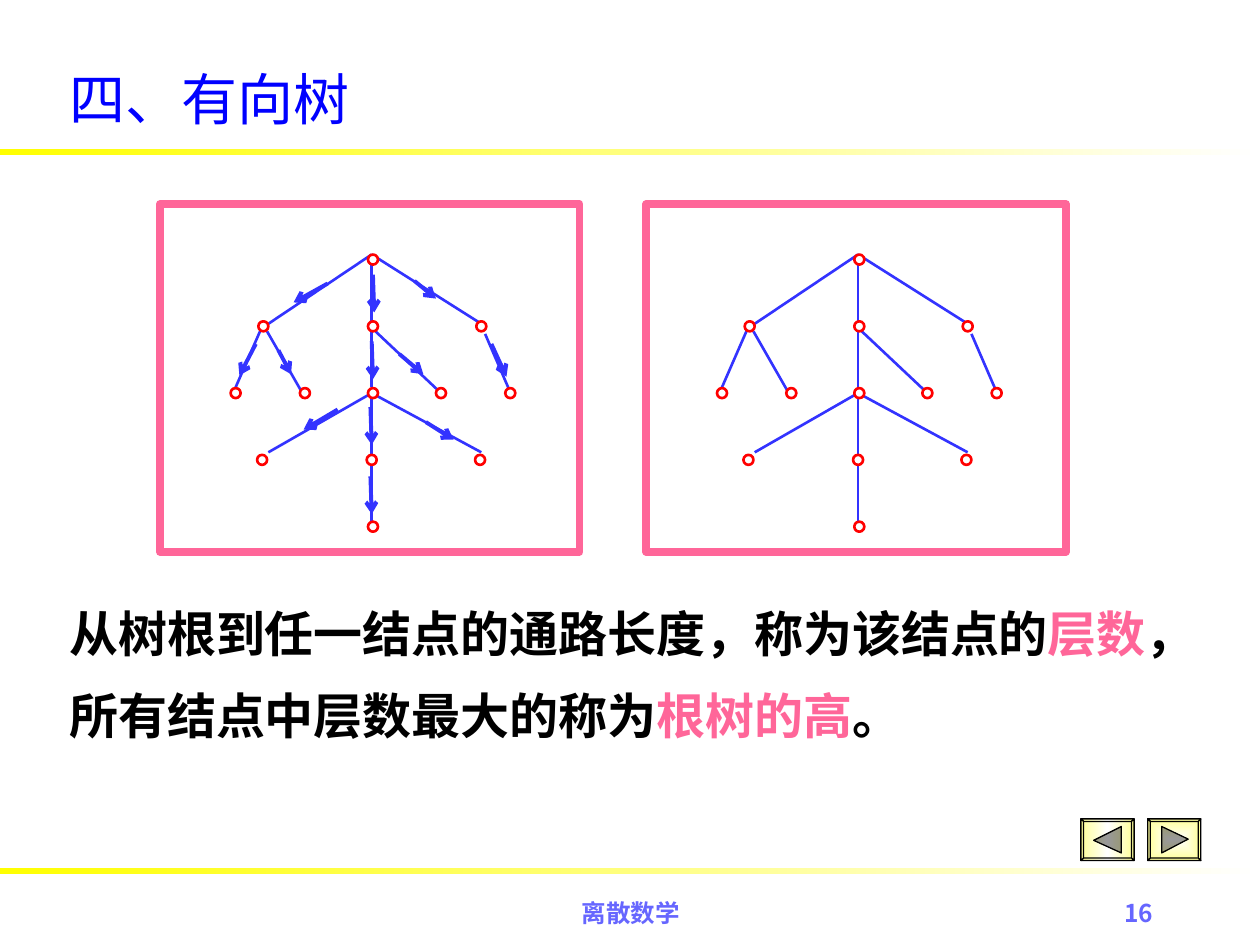
from copy import deepcopy
from typing import NamedTuple, Optional

from lxml.etree import SubElement
from pptx import Presentation
from pptx.dml.color import RGBColor
from pptx.enum.shapes import MSO_CONNECTOR as Link, MSO_SHAPE as Shape
from pptx.enum.text import MSO_ANCHOR as Anchor, MSO_AUTO_SIZE as Fit, PP_ALIGN as Align
from pptx.oxml.ns import qn
from pptx.util import Pt

PX = 9144
WHITE = RGBColor(0xFF, 0xFF, 0xFF)
BLACK = RGBColor(0x00, 0x00, 0x00)
YELLOW = RGBColor(0xFF, 0xFF, 0x00)
CREAM = RGBColor(0xFF, 0xFF, 0x99)
PINK = RGBColor(0xFF, 0x66, 0x99)
RED = RGBColor(0xFF, 0x00, 0x00)
BLUE = RGBColor(0x00, 0x00, 0xFF)
INK = RGBColor(0x33, 0x33, 0xFF)
LILAC = RGBColor(0x66, 0x66, 0xFF)
SERIF = "Times New Roman"
SANS = "Noto Sans CJK SC"


class Box(NamedTuple):
    x: int
    y: int
    w: int
    h: int

    def emu(self) -> list[int]:
        return [n * PX for n in self]


class Edge(NamedTuple):
    x1: int
    y1: int
    x2: int
    y2: int


class Button(NamedTuple):
    x: int
    mark: list[tuple[int, int]]
    stops: list[tuple[float, RGBColor]]
    angle: Optional[int]


FRAME_W, FRAME_H, TOP = 333, 276, 162
ROOT_Y, STEP, DOT = 44, 53, 8
LEVELS = [[169], [82, 169, 255], [60, 115, 169, 223, 278], [81, 168, 254], [169]]
EDGES = [
    Edge(58, 150, 82, 95), Edge(168, 40, 255, 95), Edge(168, 103, 168, 48),
    Edge(86, 95, 168, 40), Edge(113, 150, 85, 101), Edge(168, 252, 168, 208),
    Edge(223, 150, 171, 101), Edge(168, 145, 168, 101), Edge(277, 147, 258, 103),
    Edge(168, 150, 255, 197), Edge(168, 205, 168, 150), Edge(86, 197, 168, 150),
]
ARROWS = [
    Edge(133, 63, 106, 78), Edge(202, 61, 219, 75), Edge(169, 56, 170, 86),
    Edge(190, 119, 209, 135), Edge(263, 111, 275, 137), Edge(94, 116, 104, 135),
    Edge(76, 111, 63, 136), Edge(141, 163, 114, 179), Edge(211, 173, 233, 187),
    Edge(168, 109, 169, 139), Edge(167, 161, 168, 191), Edge(167, 216, 168, 246),
]
BUTTONS = [
    Button(911, [(11, 6), (32, 16), (11, 27)], [(0, WHITE), (1, CREAM)], None),
    Button(858, [(10, 17), (32, 6), (32, 27)],
           [(0, CREAM), (0.5, WHITE), (1, CREAM)], 180),
]
LINES = [
    (Box(45, 460, 955, 71), [("从树根到任一结点的通路长度，称为该结点的", BLACK),
                             ("层数", PINK), ("，", BLACK)]),
    (Box(45, 525, 730, 71), [("所有结点中层数最大的称为", BLACK),
                             ("根树的高", PINK), ("。", BLACK)]),
]


def write(shape, box: Box, runs: list, *, size: int, face: str = SERIF,
          bold: bool = False, align=Align.LEFT, anchor=Anchor.TOP,
          space: float = 1.0, fit=Fit.NONE) -> None:
    shape.left, shape.top, shape.width, shape.height = box.emu()
    frame = shape.text_frame
    frame.word_wrap = True
    frame.auto_size = fit
    frame.vertical_anchor = anchor
    para = frame.paragraphs[0]
    para.alignment = align
    para.line_spacing = space
    para.space_before = Pt(0)
    props = para._p.get_or_add_pPr()
    props.set("marL", "0")
    props.set("indent", "0")
    SubElement(props, qn("a:buNone"))
    for text, color in runs:
        run = para.add_run()
        run.text = text
        font = run.font
        font.size, font.name, font.bold = Pt(size), face, bold
        font.color.rgb = color


def blend(shape, stops: list, angle: Optional[int]) -> None:
    shape.fill.gradient()
    grad = shape.element.spPr.find(qn("a:gradFill"))
    row = grad.find(qn("a:gsLst"))
    while len(row) < len(stops):
        row.append(deepcopy(row[0]))
    for stop, (place, color) in zip(shape.fill.gradient_stops, stops):
        stop.position = place
        stop.color.rgb = color
    if angle is not None:
        shape.fill.gradient_angle = angle
        return
    grad.remove(grad.find(qn("a:lin")))
    focus = SubElement(grad, qn("a:path"), path="rect")
    SubElement(focus, qn("a:fillToRect"), {side: "50000" for side in "ltrb"})


def plain(shapes, kind, box: Box, line: RGBColor, width: float) -> None:
    shape = shapes.add_shape(kind, *box.emu())
    shape.shadow.inherit = False
    shape.fill.solid()
    shape.fill.fore_color.rgb = WHITE
    shape.line.color.rgb = line
    shape.line.width = Pt(width)


def stroke(shapes, edge: Edge, x: int, width: float, head: bool = False) -> None:
    ends = (edge.x1 + x, edge.y1 + TOP, edge.x2 + x, edge.y2 + TOP)
    link = shapes.add_connector(Link.STRAIGHT, *[n * PX for n in ends])
    link.line.color.rgb = INK
    link.line.width = Pt(width)
    if head:
        SubElement(link.line._get_or_add_ln(), qn("a:tailEnd"), type="arrow")
    SubElement(link.element.spPr, qn("a:effectLst"))


def tree(slide, x: int, arrows: list[Edge]) -> None:
    shapes = slide.shapes.add_group_shape().shapes
    plain(shapes, Shape.RECTANGLE, Box(x, TOP, FRAME_W, FRAME_H), PINK, 4.5)
    for edge in EDGES:
        stroke(shapes, edge, x, 1.5)
    for depth, row in enumerate(LEVELS):
        y = TOP + ROOT_Y + depth * STEP - DOT // 2
        for mid in row:
            plain(shapes, Shape.OVAL, Box(x + mid - DOT // 2, y, DOT, DOT), RED, 1.5)
    for edge in arrows:
        stroke(shapes, edge, x, 2.25, head=True)


def press(slide, button: Button) -> None:
    w, h, rim, top = 42, 33, 2, 650
    outer = [(0, 0), (w, 0), (w, h), (0, h)]
    inner = [(rim, rim), (w - rim, rim), (w - rim, h - rim), (rim, h - rim)]
    sides = [[outer[i], outer[j], inner[j], inner[i]]
             for i, j in ((0, 1), (1, 2), (2, 3), (3, 0))]
    pen = None
    for ring in [outer, *sides, button.mark]:
        spots = [(button.x + x, top + y) for x, y in ring]
        if pen is None:
            pen = slide.shapes.build_freeform(*spots[0], scale=PX)
        else:
            pen.move_to(*spots[0])
        pen.add_line_segments(spots[1:], close=True)
    shape = pen.convert_to_shape()
    shape.shadow.inherit = False
    whole = next(shape.element.iter(qn("a:path")))
    parts = whole.getparent()
    for step in list(whole):
        if step.tag == qn("a:moveTo"):
            part = SubElement(parts, qn("a:path"), dict(whole.attrib))
        part.append(step)
    parts.remove(whole)
    part.set("fill", "darken")
    blend(shape, button.stops, button.angle)
    shape.line.color.rgb = BLACK
    shape.line.width = Pt(0.75)


def main() -> None:
    deck = Presentation()
    deck.slide_width, deck.slide_height = 1000 * PX, 750 * PX
    slide = deck.slides.add_slide(deck.slide_layouts[3])
    title, *bodies = slide.placeholders
    for y in (689, 118):
        band = slide.shapes.add_shape(Shape.RECTANGLE, *Box(0, y, 1000, 5).emu())
        band.shadow.inherit = False
        band.line.fill.background()
        blend(band, [(0, WHITE), (1, YELLOW)], 180)
    write(title, Box(45, 46, 850, 64), [("四、有向树", BLUE)], size=32,
          anchor=Anchor.MIDDLE, fit=Fit.SHAPE_TO_FIT_TEXT)
    for button in BUTTONS:
        press(slide, button)
    for body, (box, runs) in zip(bodies, LINES):
        write(body, box, runs, size=28, bold=True, space=1.3,
              fit=Fit.SHAPE_TO_FIT_TEXT)
    tree(slide, 513, [])
    tree(slide, 127, ARROWS)
    for box, text, face, align in (
        (Box(342, 708, 317, 50), "离散数学", SERIF, Align.CENTER),
        (Box(717, 708, 208, 50), "16", SANS, Align.RIGHT),
    ):
        write(slide.shapes.add_textbox(*box.emu()), box, [(text, LILAC)],
              size=14, face=face, bold=True, align=align)
    deck.save("out.pptx")


if __name__ == "__main__":
    main()
